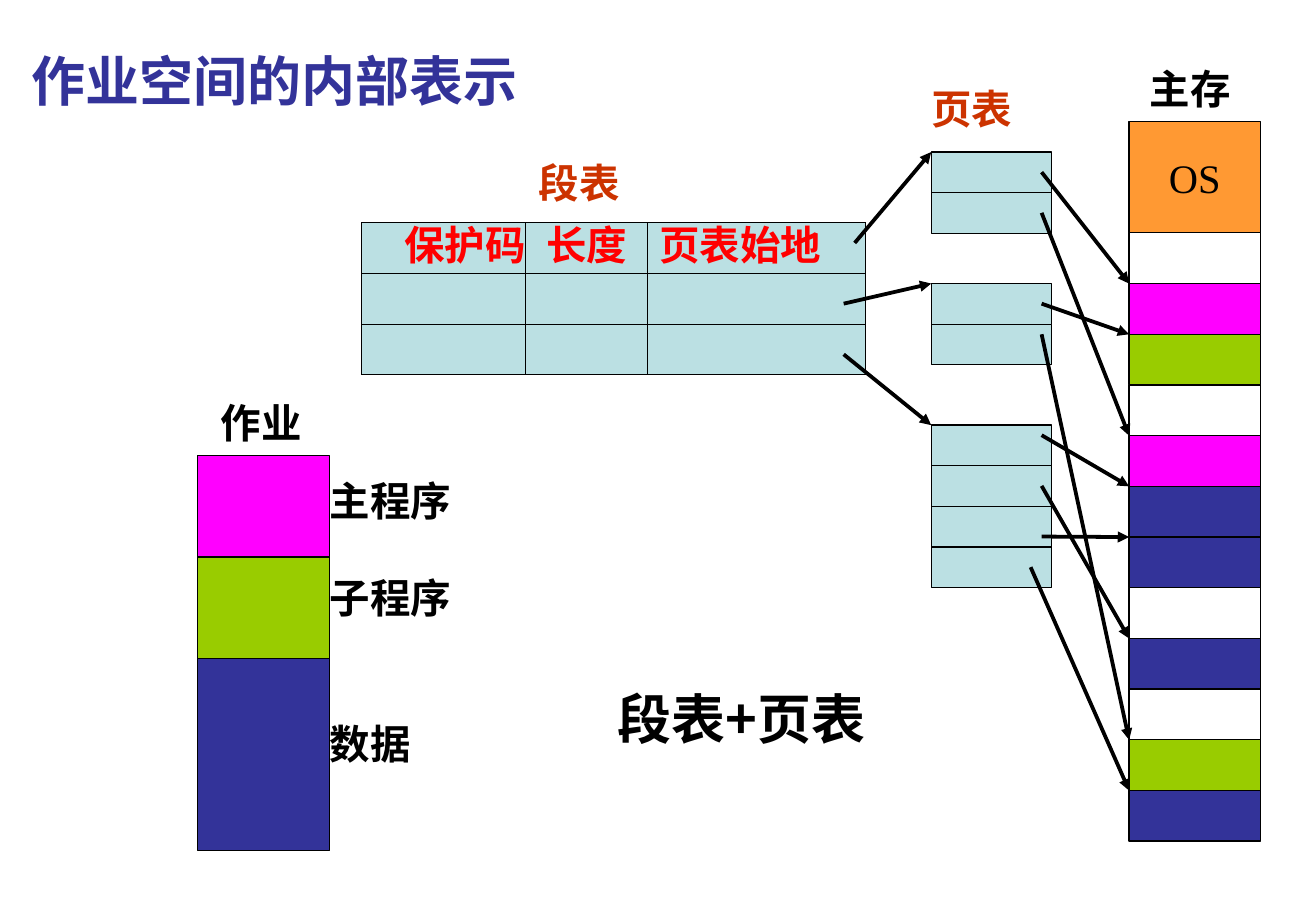
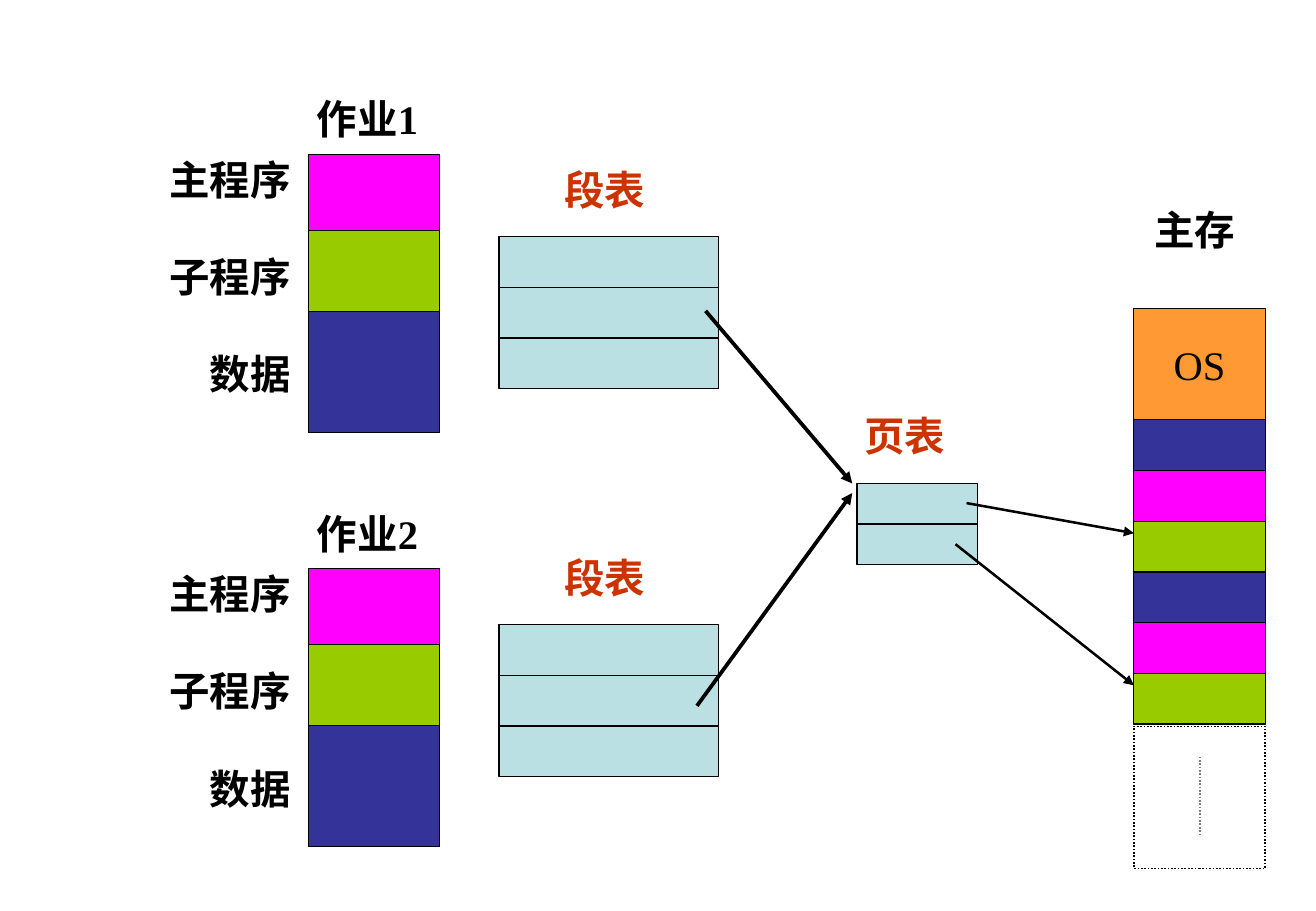
from lxml import etree
from pptx import Presentation
from pptx.dml.color import RGBColor
from pptx.enum.dml import MSO_LINE
from pptx.enum.shapes import MSO_CONNECTOR, MSO_SHAPE
from pptx.enum.text import MSO_ANCHOR, PP_ALIGN
from pptx.oxml.ns import qn
from pptx.util import Cm, Pt

BLACK = RGBColor(0x00, 0x00, 0x00)
WHITE = RGBColor(0xFF, 0xFF, 0xFF)
GREY = RGBColor(0x80, 0x80, 0x80)
BLUE = RGBColor(0x33, 0x33, 0x99)
MAGENTA = RGBColor(0xFF, 0x00, 0xFF)
GREEN = RGBColor(0x99, 0xCC, 0x00)
ORANGE = RGBColor(0xFF, 0x99, 0x33)
PALE = RGBColor(0xBB, 0xE0, 0xE3)
RUST = RGBColor(0xCC, 0x33, 0x00)
RED = RGBColor(0xFF, 0x00, 0x00)

SERIF = "Times New Roman"
SANS = "Noto Sans CJK SC"
ROW = 1.06        # row of memory or of a segment table
PAGE_ROW = 0.85
PAGE_WIDTH = 2.52
COLUMN = 2.75     # width of a job or of memory
OS_HEIGHT = 2.33
SEGMENTS = [MAGENTA, GREEN, BLUE]
PARTS = ["主程序", "子程序", "数据"]


def stack(slide, left, top, width, heights, fills):
    """Draw touching boxes from top to bottom, lengths in cm."""
    boxes = []
    for height, fill in zip(heights, fills):
        box = slide.shapes.add_shape(MSO_SHAPE.RECTANGLE, Cm(left), Cm(top), Cm(width), Cm(height))
        box.shadow.inherit = False
        box.fill.solid()
        box.fill.fore_color.rgb = fill
        box.line.color.rgb = BLACK
        box.line.width = Pt(0.75)
        boxes.append(box)
        top += height
    return boxes


def label(slide, left, top, width, lines, color=BLACK, size=24, font=SERIF,
          gaps=(0, 28.8, 28.8), align=PP_ALIGN.LEFT):
    """Write bold lines; gaps are the points of space before each line."""
    box = slide.shapes.add_textbox(Cm(left), Cm(top), Cm(width), Cm(1.27))
    frame = box.text_frame
    frame.word_wrap = True
    frame.text = "\n".join(lines)
    for para, gap in zip(frame.paragraphs, gaps):
        para.alignment = align
        para.space_before = Pt(gap)
        para.font.name = font
        para.font.size = Pt(size)
        para.font.bold = True
        para.font.color.rgb = color


deck = Presentation()
deck.slide_width = Cm(27.53)
deck.slide_height = Cm(19.05)
inner, shared = [deck.slides.add_slide(deck.slide_layouts[6]) for _ in range(2)]

# Main memory on both slides
for slide, left, top, label_left, label_top, frames in [
    (inner, 23.62, 2.54, 23.8, 1.22,
     [WHITE, MAGENTA, GREEN, WHITE, MAGENTA, BLUE, BLUE, WHITE, BLUE, WHITE, GREEN, BLUE]),
    (shared, 23.72, 6.45, 23.9, 4.17, [BLUE, MAGENTA, GREEN] * 2),
]:
    heights = [OS_HEIGHT] + [ROW] * len(frames)
    system = stack(slide, left, top, COLUMN, heights, [ORANGE] + frames)[0]
    system.text_frame.text = "OS"
    para = system.text_frame.paragraphs[0]
    para.alignment = PP_ALIGN.CENTER
    para.font.name = SERIF
    para.font.size = Pt(24)
    para.font.color.rgb = BLACK
    label(slide, label_left, label_top, 3, ["主存"])

# Page tables
for slide, left, top, rows in [
    (inner, 19.48, 3.18, 2), (inner, 19.48, 5.93, 2), (inner, 19.48, 8.89, 4),
    (shared, 17.93, 10.11, 2),
]:
    stack(slide, left, top, PAGE_WIDTH, [PAGE_ROW] * rows, [PALE] * rows)
label(inner, 19.23, 1.63, 3, ["页表"], RUST)
label(shared, 17.83, 8.46, 3, ["页表"], RUST)

# Slide 1: title, job and segment table
label(inner, 0.41, 0.86, 14, ["作业空间的内部表示"], BLUE, 32, SANS)
label(inner, 4.37, 8.2, 3, ["作业"])
stack(inner, 4.14, 9.53, COLUMN, [2.12, 2.12, 4.02], SEGMENTS)
label(inner, 6.65, 9.83, 4, PARTS, gaps=(0, 28.8, 57.6))
label(inner, 11.02, 3.18, 3, ["段表"], RUST)
label(inner, 12.67, 14.22, 5.8, ["段表+页表"], BLACK, 32, SANS)

headings = [("保护码", 3.43, PP_ALIGN.RIGHT), ("长度", 2.54, PP_ALIGN.CENTER),
            ("页表始地", 4.57, PP_ALIGN.LEFT)]
table = inner.shapes.add_table(3, 3, Cm(7.57), Cm(4.66), Cm(10.54), Cm(3 * ROW)).table
for row in table.rows:
    row.height = Cm(ROW)
for index, (heading, width, align) in enumerate(headings):
    table.columns[index].width = Cm(width)
    table.cell(0, index).text = heading
    for row in range(3):
        cell = table.cell(row, index)
        cell.margin_top = cell.margin_bottom = cell.margin_right = 0
        cell.margin_left = Cm(0.25) if align == PP_ALIGN.LEFT else 0
        cell.vertical_anchor = MSO_ANCHOR.MIDDLE
        for side in ("a:lnL", "a:lnR", "a:lnT", "a:lnB"):
            border = etree.SubElement(cell._tc.get_or_add_tcPr(), qn(side), w=str(Pt(0.75)))
            paint = etree.SubElement(border, qn("a:solidFill"))
            etree.SubElement(paint, qn("a:srgbClr"), val=str(BLACK))
        cell.fill.solid()
        cell.fill.fore_color.rgb = PALE
        para = cell.text_frame.paragraphs[0]
        para.alignment = align
        para.line_spacing = Pt(29)
        para.font.name = SANS
        para.font.size = Pt(24)
        para.font.bold = True
        para.font.color.rgb = RED

# Slide 2: two jobs, each with its segment table
for number, job_top, table_top in [(1, 3.23, 4.95), (2, 11.89, 13.06)]:
    label(shared, 6.38, job_top - 1.38, 4, [f"作业{number}"])
    stack(shared, 6.45, job_top, COLUMN, [1.59, 1.69, 2.54], SEGMENTS)
    label(shared, 2.33, job_top - 0.11, 4, PARTS, align=PP_ALIGN.RIGHT)
    stack(shared, 10.44, table_top, 4.6, [ROW] * 3, [PALE] * 3)
    label(shared, 11.56, table_top - 1.62, 3, ["段表"], RUST)

rest = stack(shared, 23.72, 15.19, COLUMN, [2.97], [WHITE])[0]
rest.line.width = Pt(1)
rest.line.dash_style = MSO_LINE.ROUND_DOT

# Arrows: slide, start, end, width
arrows = [
    (inner, 17.88, 5.08, 19.48, 3.18, 2.25),
    (inner, 17.65, 6.35, 19.48, 5.93, 2.25),
    (inner, 17.65, 7.41, 19.48, 8.89, 2.25),
    (shared, 14.76, 6.5, 17.83, 10.11, 2.25),
    (shared, 14.58, 14.76, 17.83, 10.31, 2.25),
    (shared, 20.22, 10.52, 23.72, 11.15, 1.5),
    (shared, 19.99, 11.38, 23.72, 14.33, 1.5),
]
# Page entries on slide 1 point at the top of a numbered memory frame
for x, y, frame_number in [
    (21.79, 3.6, 1), (21.79, 4.45, 4), (21.79, 6.35, 2), (21.79, 6.99, 10),
    (21.79, 9.1, 5), (21.79, 10.16, 8), (21.79, 11.22, 6), (21.56, 11.86, 11),
]:
    arrows.append((inner, x, y, 23.62, 2.54 + OS_HEIGHT + ROW * frame_number, 2.25))

dots = (shared, 25.1, 15.82, 25.1, 17.5, 1)
for entry in arrows + [dots]:
    slide, *ends, width = entry
    line = slide.shapes.add_connector(MSO_CONNECTOR.STRAIGHT, *[Cm(end) for end in ends])
    line.line.width = Pt(width)
    line.line.color.rgb = BLACK
    if entry is dots:
        line.line.color.rgb = GREY
        line.line.dash_style = MSO_LINE.ROUND_DOT
    else:
        etree.SubElement(line.line._get_or_add_ln(), qn("a:tailEnd"), type="triangle")
    etree.SubElement(line._element.spPr, qn("a:effectLst"))

deck.save("out.pptx")
